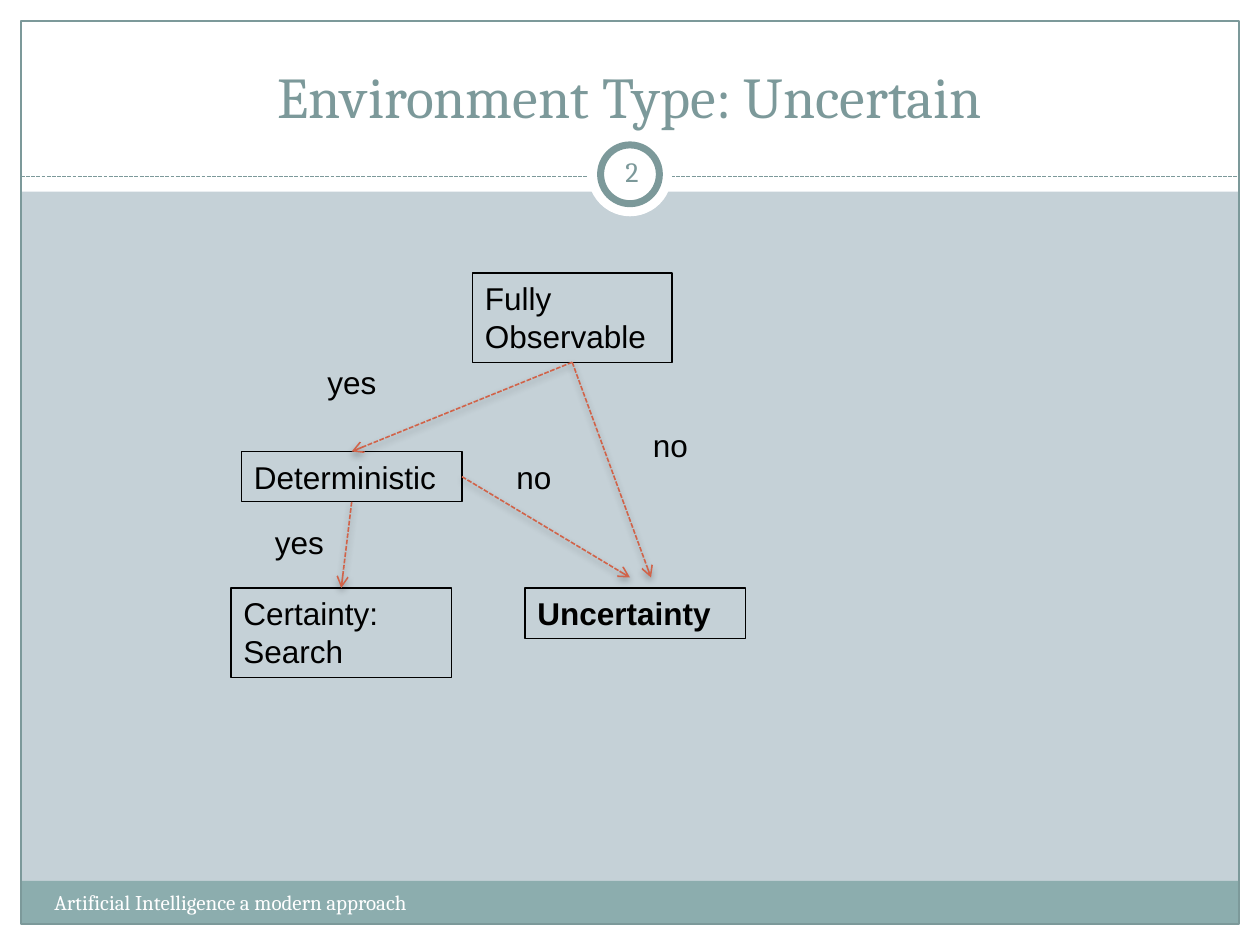
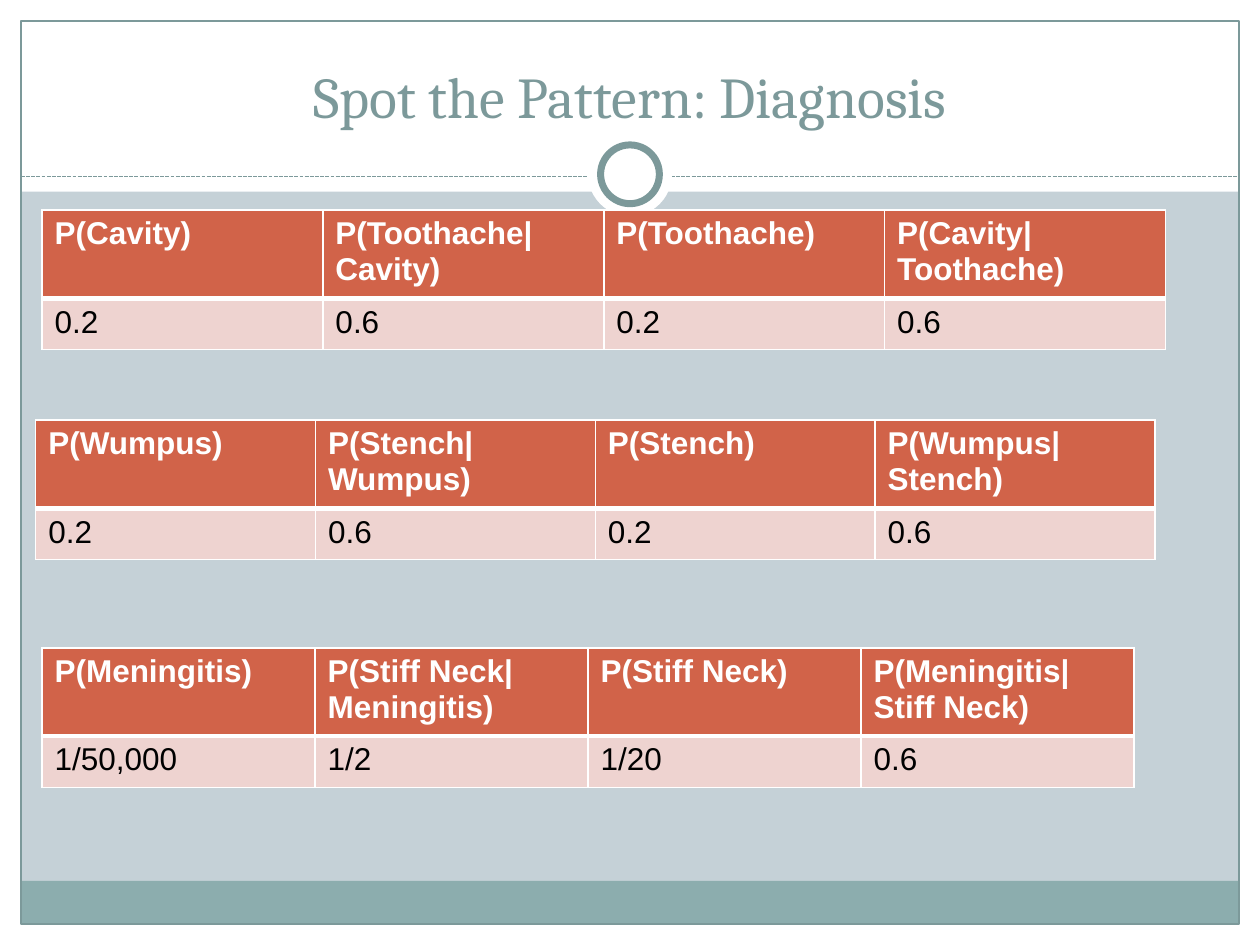
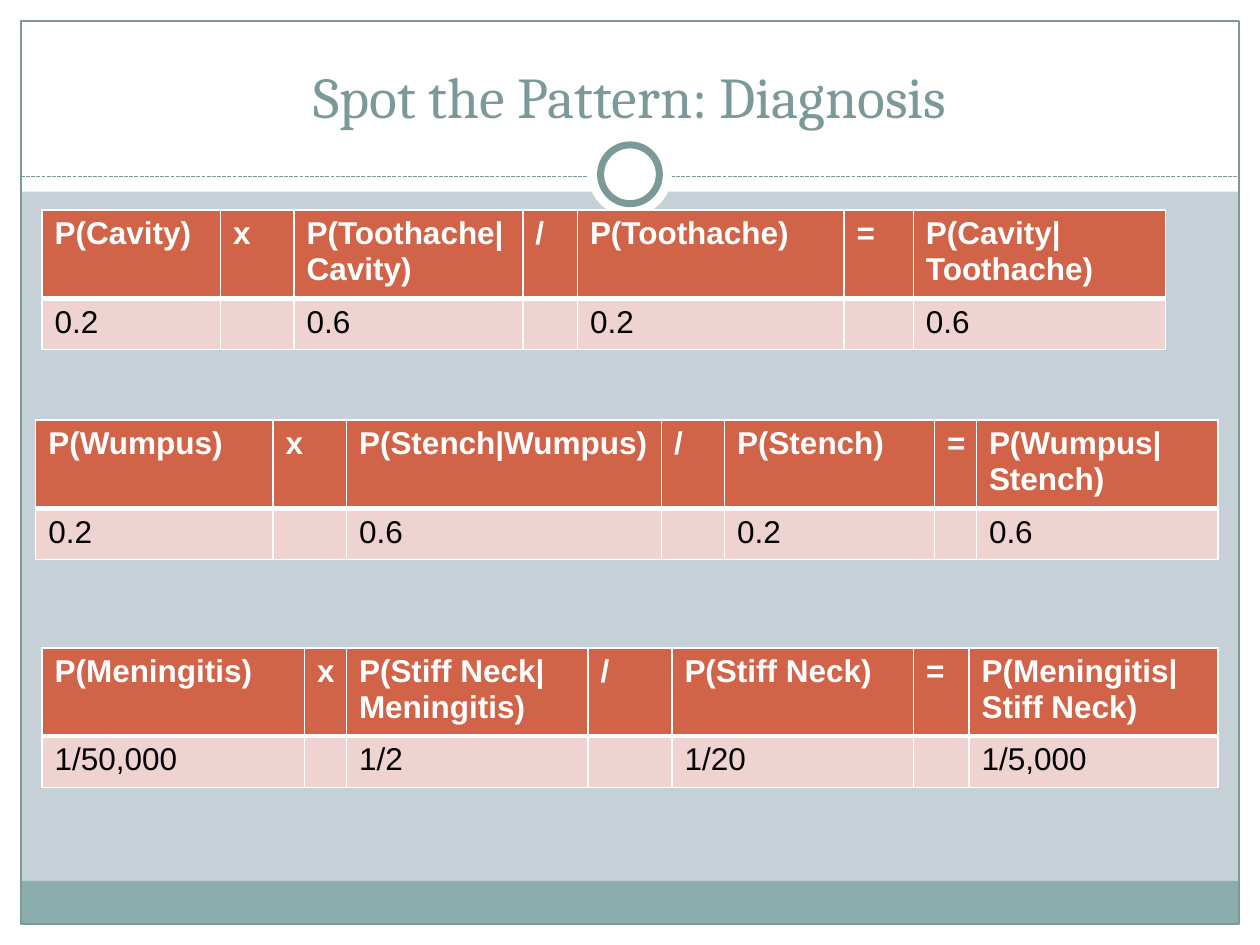
from lxml.etree import SubElement
from pptx import Presentation
from pptx.dml.color import RGBColor
from pptx.enum.dml import MSO_LINE
from pptx.enum.shapes import MSO_CONNECTOR, MSO_SHAPE
from pptx.enum.text import MSO_ANCHOR, MSO_AUTO_SIZE, PP_ALIGN
from pptx.oxml.ns import qn
from pptx.util import Inches, Pt

WHITE = RGBColor(0xFF, 0xFF, 0xFF)
BLACK = RGBColor(0x00, 0x00, 0x00)
MIST = RGBColor(0xC5, 0xD1, 0xD7)
TEAL = RGBColor(0x7C, 0x99, 0x9A)
SAGE = RGBColor(0x8C, 0xAD, 0xAE)
RUST = RGBColor(0xD1, 0x63, 0x49)
ROSE = RGBColor(0xEE, 0xD3, 0xD0)
SERIF, SANS = "Cambria", "Arial"

# The slide is a grid of square cells, twelve to the inch.
COLS, ROWS = 120, 90
EDGE = 2
TOP, BOTTOM, RIGHT = 0, 2, 3  # connection sites of a rectangle


def cell(count):
    """Length of a number of grid cells."""
    return Inches(count / 12)


def place(box):
    """Turn a grid box into slide lengths."""
    return [cell(part) for part in box]


def write(frame, text, size=18, font=SANS, color=BLACK, bold=False,
          align=PP_ALIGN.LEFT, anchor=MSO_ANCHOR.TOP, grow=False, inset=None):
    """Fill a text frame with one formatted paragraph."""
    frame.word_wrap = True
    frame.vertical_anchor = anchor
    if grow:
        frame.auto_size = MSO_AUTO_SIZE.SHAPE_TO_FIT_TEXT
    if inset is not None:
        frame.margin_left = frame.margin_right = inset
        frame.margin_top = frame.margin_bottom = inset
    para = frame.paragraphs[0]
    para.alignment = align
    run = para.add_run()
    run.text = text
    run.font.size, run.font.name = Pt(size), font
    run.font.bold, run.font.color.rgb = bold, color


def label(slide, box, text, **style):
    """Add a text box."""
    write(slide.shapes.add_textbox(*place(box)).text_frame, text, **style)


def shape(slide, box, fill=None, line=None, width=0.75, kind=MSO_SHAPE.RECTANGLE):
    """Add a flat preset shape."""
    item = slide.shapes.add_shape(kind, *place(box))
    item.shadow.inherit = False
    if fill is None:
        item.fill.background()
    else:
        item.fill.solid()
        item.fill.fore_color.rgb = fill
    if line is None:
        item.line.fill.background()
    else:
        item.line.color.rgb, item.line.width = line, Pt(width)
    return item


def dashed(slide, start, end, color, width):
    """Add a dashed line with an empty effect list, which is returned too."""
    line = slide.shapes.add_connector(MSO_CONNECTOR.STRAIGHT, *place(start + end))
    line.line.color.rgb, line.line.width = color, Pt(width)
    line.line.dash_style = MSO_LINE.SQUARE_DOT
    props = line._element.spPr
    return line, SubElement(props, qn("a:effectLst"))


def arrow(slide, start, end, site, goal=None):
    """Join a node to another node, or to a free grid point."""
    line, effects = dashed(slide, (0, 0), goal or (0, 0), RUST, 0.9)
    line.begin_connect(start, site)
    if goal is None:
        line.end_connect(end, TOP)
    SubElement(line.line._get_or_add_ln(), qn("a:tailEnd"), type="arrow")
    shade = SubElement(effects, qn("a:outerShdw"), blurRad=str(Pt(4)),
                       dist=str(Pt(2)), dir="5400000", rotWithShape="0")
    tint = SubElement(shade, qn("a:srgbClr"), val=str(BLACK))
    SubElement(tint, qn("a:alpha"), val="35000")


def base(deck, title):
    """Start a slide with the shared frame, bands, ring and title."""
    slide = deck.slides.add_slide(deck.slide_layouts[6])
    slide.background.fill.solid()
    slide.background.fill.fore_color.rgb = MIST
    span, far, low = COLS - 2 * EDGE, COLS - EDGE, ROWS - EDGE
    for box in ((0, low, COLS, EDGE), (0, 0, COLS, 18.25),
                (0, 0, EDGE, ROWS), (far, 0, EDGE, ROWS)):
        shape(slide, box, fill=WHITE)
    shape(slide, (EDGE, 83.9, span, low - 83.9), fill=SAGE)
    shape(slide, (EDGE, EDGE, span, ROWS - 2 * EDGE), line=TEAL)
    dashed(slide, (EDGE, 16.8), (far, 16.8), TEAL, 0.75)
    shape(slide, (56, 12.6, 8, 8), fill=WHITE, kind=MSO_SHAPE.OVAL)
    shape(slide, (57.2, 13.8, 5.6, 5.6), fill=WHITE, line=TEAL, width=4,
          kind=MSO_SHAPE.OVAL)
    label(slide, (4, 3, 112, 10), title, size=33, font=SERIF, color=TEAL,
          align=PP_ALIGN.CENTER, anchor=MSO_ANCHOR.BOTTOM)
    return slide


def footer(slide, text, number):
    """Add the footer text and the number inside the ring."""
    label(slide, (4, 84.1, 47, 4.8), text, size=12, font=SERIF, color=WHITE)
    label(slide, (57.2, 13.4, 6, 5.8), number, size=16, font=SERIF, color=TEAL,
          align=PP_ALIGN.CENTER, anchor=MSO_ANCHOR.MIDDLE, inset=Inches(0.05))


def node(slide, box, text, bold=False):
    """Add an outlined box of the decision tree."""
    item = shape(slide, box, line=BLACK)
    write(item.text_frame, text, bold=bold, grow=True)
    return item


def tree(slide, left, top):
    """Draw the decision tree from its top left corner."""
    one, two = 4.8, 8.5  # heights of one and two lines of text

    def at(col, row, *size):
        return (left + col, top + row, *size)

    full = node(slide, at(23, 0, 19, two), "Fully Observable")
    fixed = node(slide, at(1, 17, 21, one), "Deterministic")
    sure = node(slide, at(0, 30, 21, two), "Certainty: Search")
    vague = node(slide, at(28, 30, 21, one), "Uncertainty", bold=True)
    arrow(slide, full, fixed, BOTTOM)
    arrow(slide, fixed, sure, BOTTOM)
    arrow(slide, fixed, vague, RIGHT, goal=at(38, 29))
    arrow(slide, full, vague, BOTTOM, goal=at(40, 29))
    for text, col, row, wide in (("no", 39, 14, 7), ("yes", 8, 8, 11),
                                 ("yes", 3, 23.2, 11), ("no", 26, 17, 7)):
        label(slide, at(col, row, wide, one), text, grow=True)


def border(item, **widths):
    """Draw white cell borders; widths are points by side."""
    props = item._tc.get_or_add_tcPr()
    for side in "LRTB":
        line = SubElement(props, qn("a:ln" + side), w=str(Pt(widths.get(side, 1))))
        fill = SubElement(line, qn("a:solidFill"))
        SubElement(fill, qn("a:srgbClr"), val=str(WHITE))


def grid(slide, left, top, widths, heads, values):
    """Add a table with one header row and one value row."""
    box = place((left, top, sum(widths), 13.3))
    frame = slide.shapes.add_table(2, len(widths), *box)
    table = frame.table
    table.horz_banding = False
    for col, wide in zip(table.columns, widths):
        col.width = cell(wide)
    for row in table.rows:
        row.height = cell(4.9)
    frame.height = box[3]
    looks = ((heads, RUST, WHITE, True, "B"), (values, ROSE, BLACK, False, "T"))
    for row, (texts, fill, color, bold, thick) in enumerate(looks):
        for col, text in enumerate(texts):
            item = table.cell(row, col)
            border(item, **{thick: 3})
            item.fill.solid()
            item.fill.fore_color.rgb = fill
            if text:
                write(item.text_frame, text, color=color, bold=bold)


def weave(parts, signs):
    """Put the signs between the parts."""
    mixed = [parts[0]]
    for sign, part in zip(signs, parts[1:]):
        mixed += [sign, part]
    return mixed


# Left, top, cause, effect, joint label, values
CASES = (
    (4, 20, "Cavity", "Toothache", "P(Toothache|Cavity)", ("0.2", "0.6", "0.2")),
    (3.4, 40, "Wumpus", "Stench", "P(Stench|Wumpus)", ("0.2", "0.6", "0.2")),
    (4, 61.7, "Meningitis", "Stiff Neck", "P(Stiff Neck| Meningitis)",
     ("1/50,000", "1/2", "1/20")),
)


def tables(slide, widths, results, signs=None):
    """Add the three diagnosis tables, with signs between columns if given."""
    for case, wide, result in zip(CASES, widths, results):
        left, top, cause, effect, joint, known = case
        heads = [f"P({cause})", joint, f"P({effect})", f"P({cause}|{effect})"]
        values = [*known, result]
        if signs:
            heads, values = weave(heads, signs), weave(values, [""] * len(signs))
        grid(slide, left, top, wide, heads, values)


def main():
    """Build and save the deck."""
    deck = Presentation()
    deck.slide_width, deck.slide_height = cell(COLS), cell(ROWS)

    slide = base(deck, "Environment Type: Uncertain")
    footer(slide, "Artificial Intelligence a modern approach", "2")
    tree(slide, 22, 26)

    title = "Spot the Pattern: Diagnosis"
    even = [[total / 4] * 4 for total in (107, 106.6, 104)]
    tables(base(deck, title), even, ("0.6", "0.6", "0.6"))

    fitted = ((17, 7, 21.8, 5.2, 25.4, 6.6, 24),
              (22.6, 7, 30, 6, 20, 4, 23),
              (25, 4, 23, 8, 23, 5.3, 23.7))
    tables(base(deck, title), fitted, ("0.6", "0.6", "1/5,000"), signs="x/=")
    deck.save("out.pptx")


main()
